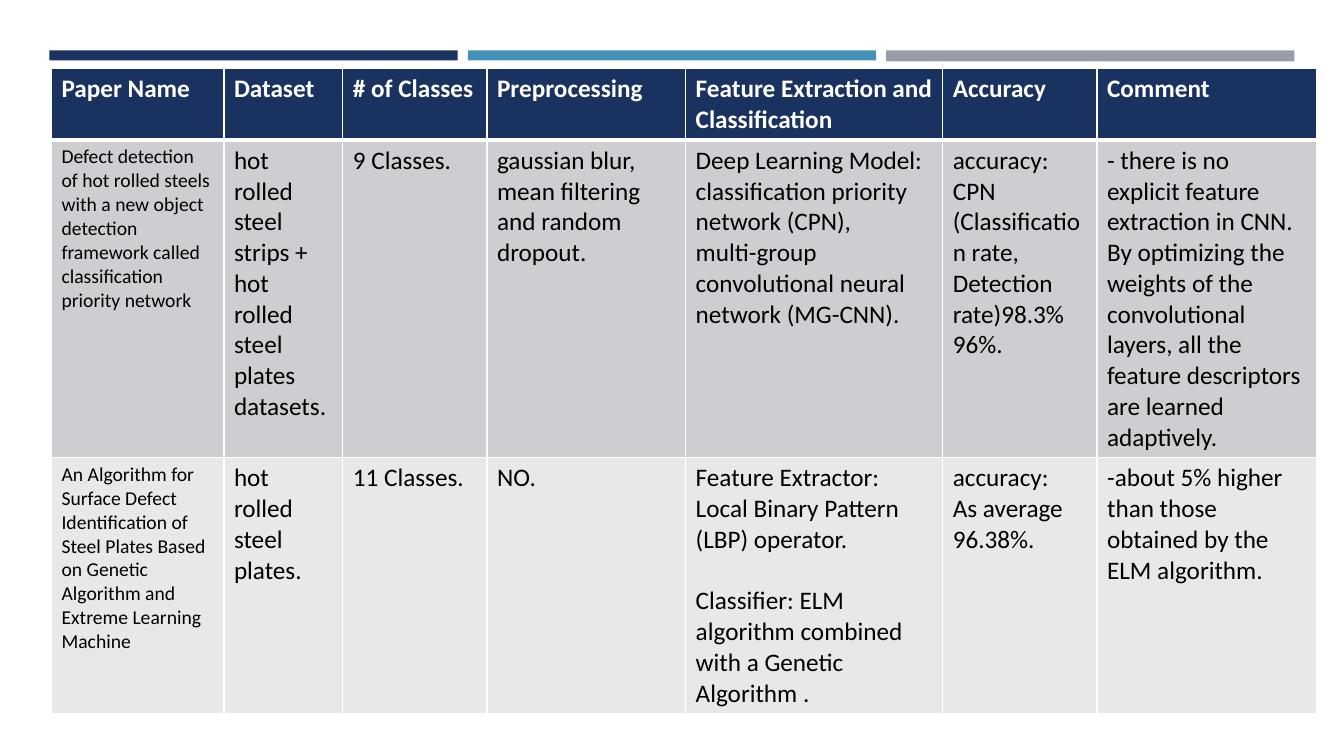
from dataclasses import dataclass

from lxml import etree
from pptx import Presentation, util as u
from pptx.dml.color import RGBColor
from pptx.enum import shapes
from pptx.oxml import ns

COLOURS = {
    "navy": "1A3260", "blue": "4590B8", "grey": "969FA7",
    "dark_band": "CDCED2", "light_band": "E8E8EA",
    "white": "FFFFFF", "black": "000000",
}
FONT = "Calibri"
SLIDE_WIDTH, SLIDE_HEIGHT = u.Inches(13.33), u.Inches(7.5)

# Lengths are percentages of the slide's width or height.
BAR_LEFT, BAR_TOP, BAR_WIDTH, BAR_PITCH = 3.68, 6.67, 30.38, 31.13
TABLE_LEFT, TABLE_TOP = 3.83, 9.07
COLUMN_WIDTHS = (12.83, 8.85, 10.73, 14.78, 19.13, 11.48, 16.35)
ROW_HEIGHTS = (9.2, 41.07, 32.93)
BLANK_LINE = u.Pt(22)


@dataclass(frozen=True)
class Bar:
    colour: str
    height: float


@dataclass(frozen=True)
class RowStyle:
    fill: str
    ink: str
    bold: bool
    title_size: int
    top_line: int
    bottom_line: int


BARS = (Bar("navy", 1.33), Bar("blue", 1.33), Bar("grey", 1.47))
ROW_STYLES = (
    RowStyle("navy", "white", True, 18, 1, 3),
    RowStyle("dark_band", "black", False, 14, 3, 1),
    RowStyle("light_band", "black", False, 14, 1, 1),
)
# Each line of a cell is a paragraph; an empty line becomes space before the next.
ROWS = (
    ("Paper Name", "Dataset", "# of Classes", "Preprocessing",
     "Feature Extraction and Classification", "Accuracy", "Comment"),
    ("Defect detection of hot rolled steels with a new object detection "
     "framework called classification priority network",
     "hot rolled steel strips + hot rolled steel plates datasets.",
     "9 Classes.",
     "gaussian blur, mean filtering and random dropout.",
     "Deep Learning Model:\nclassification priority network (CPN),\n"
     "multi-group convolutional neural network (MG-CNN).",
     "accuracy: CPN (Classification rate, Detection rate)98.3% 96%.",
     "- there is no explicit feature extraction in CNN. By optimizing the "
     "weights of the convolutional layers, all the feature descriptors are "
     "learned adaptively."),
    ("An Algorithm for Surface Defect Identiﬁcation of Steel Plates Based on "
     "Genetic Algorithm and Extreme Learning Machine",
     "hot rolled steel plates.",
     "11 Classes.",
     "NO.",
     "Feature Extractor:\nLocal Binary Pattern (LBP) operator.\n\n"
     "Classifier: ELM algorithm combined with a Genetic Algorithm .",
     "accuracy:\nAs average\n96.38%.",
     "-about 5% higher than those obtained by the ELM algorithm."),
)


def across(share: float) -> int:
    return round(SLIDE_WIDTH * share / 100)


def down(share: float) -> int:
    return round(SLIDE_HEIGHT * share / 100)


def rgb(name: str) -> RGBColor:
    return RGBColor.from_string(COLOURS[name])


def add_bar(page, index: int, bar: Bar) -> None:
    shape = page.shapes.add_shape(
        shapes.MSO_SHAPE.RECTANGLE, across(BAR_LEFT + index * BAR_PITCH),
        down(BAR_TOP), across(BAR_WIDTH), down(bar.height))
    shape.shadow.inherit = False
    shape.fill.solid()
    shape.fill.fore_color.rgb = rgb(bar.colour)
    shape.line.fill.background()


def add_borders(cell, style: RowStyle) -> None:
    properties = cell._tc.get_or_add_tcPr()
    widths = {"L": 1, "R": 1, "T": style.top_line, "B": style.bottom_line}
    for side, width in widths.items():
        line = etree.SubElement(properties, ns.qn(f"a:ln{side}"), w=str(u.Pt(width)))
        fill = etree.SubElement(line, ns.qn("a:solidFill"))
        etree.SubElement(fill, ns.qn("a:srgbClr"), val=COLOURS["white"])


def write_cell(cell, content: str, style: RowStyle, size: int) -> None:
    add_borders(cell, style)
    cell.fill.solid()
    cell.fill.fore_color.rgb = rgb(style.fill)
    for block_index, block in enumerate(content.split("\n\n")):
        for line_index, line in enumerate(block.split("\n")):
            first = block_index == line_index == 0
            frame = cell.text_frame
            para = frame.paragraphs[0] if first else frame.add_paragraph()
            para.text = line
            if block_index and not line_index:
                para.space_before = BLANK_LINE
            para.font.name = FONT
            para.font.size = u.Pt(size)
            para.font.bold = style.bold
            para.font.color.rgb = rgb(style.ink)


def add_paper_table(page) -> None:
    table = page.shapes.add_table(
        len(ROWS), len(COLUMN_WIDTHS), across(TABLE_LEFT), down(TABLE_TOP),
        across(sum(COLUMN_WIDTHS)), down(sum(ROW_HEIGHTS))).table
    table.horz_banding = False
    for column, width in zip(table.columns, COLUMN_WIDTHS):
        column.width = across(width)
    for row, height, style, contents in zip(table.rows, ROW_HEIGHTS, ROW_STYLES, ROWS):
        row.height = down(height)
        for index, (cell, content) in enumerate(zip(row.cells, contents)):
            write_cell(cell, content, style, 18 if index else style.title_size)


def main() -> None:
    deck = Presentation()
    deck.slide_width, deck.slide_height = SLIDE_WIDTH, SLIDE_HEIGHT
    page = deck.slides.add_slide(deck.slide_layouts[6])
    for index, bar in enumerate(BARS):
        add_bar(page, index, bar)
    add_paper_table(page)
    deck.save("out.pptx")


if __name__ == "__main__":
    main()
